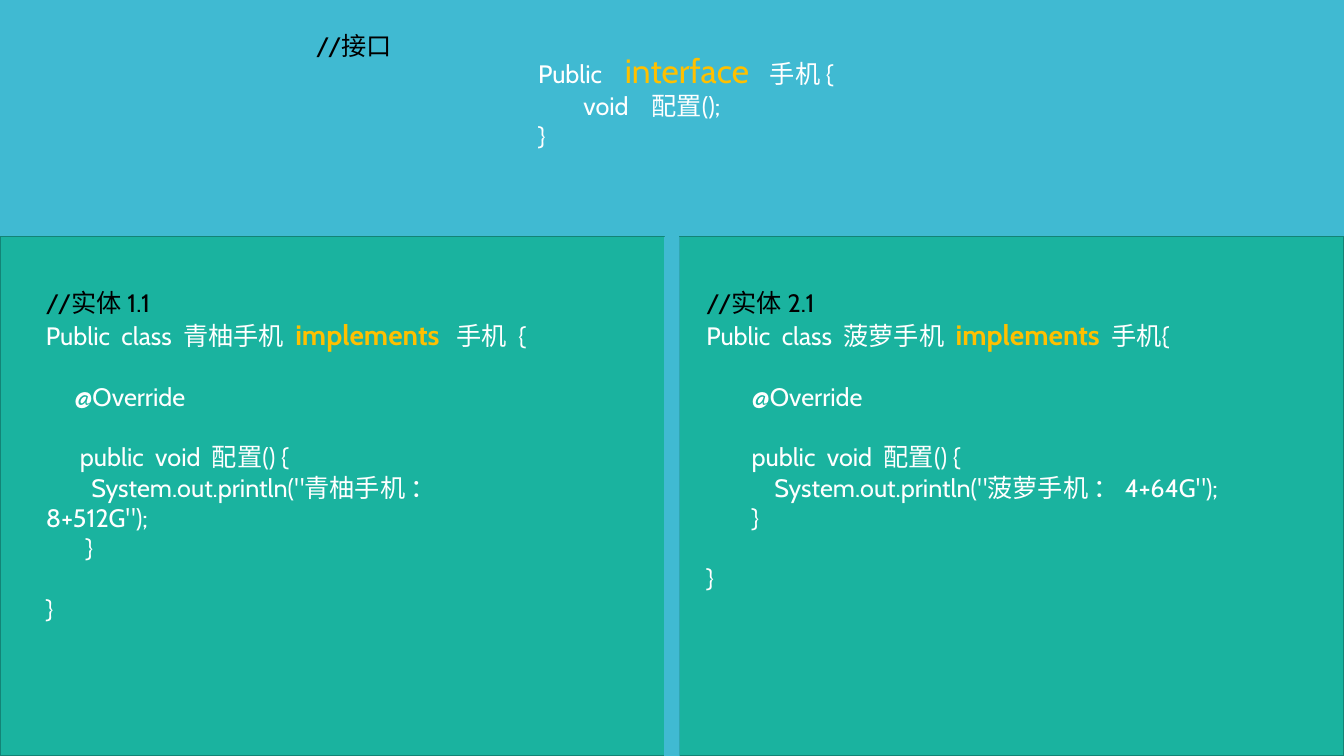
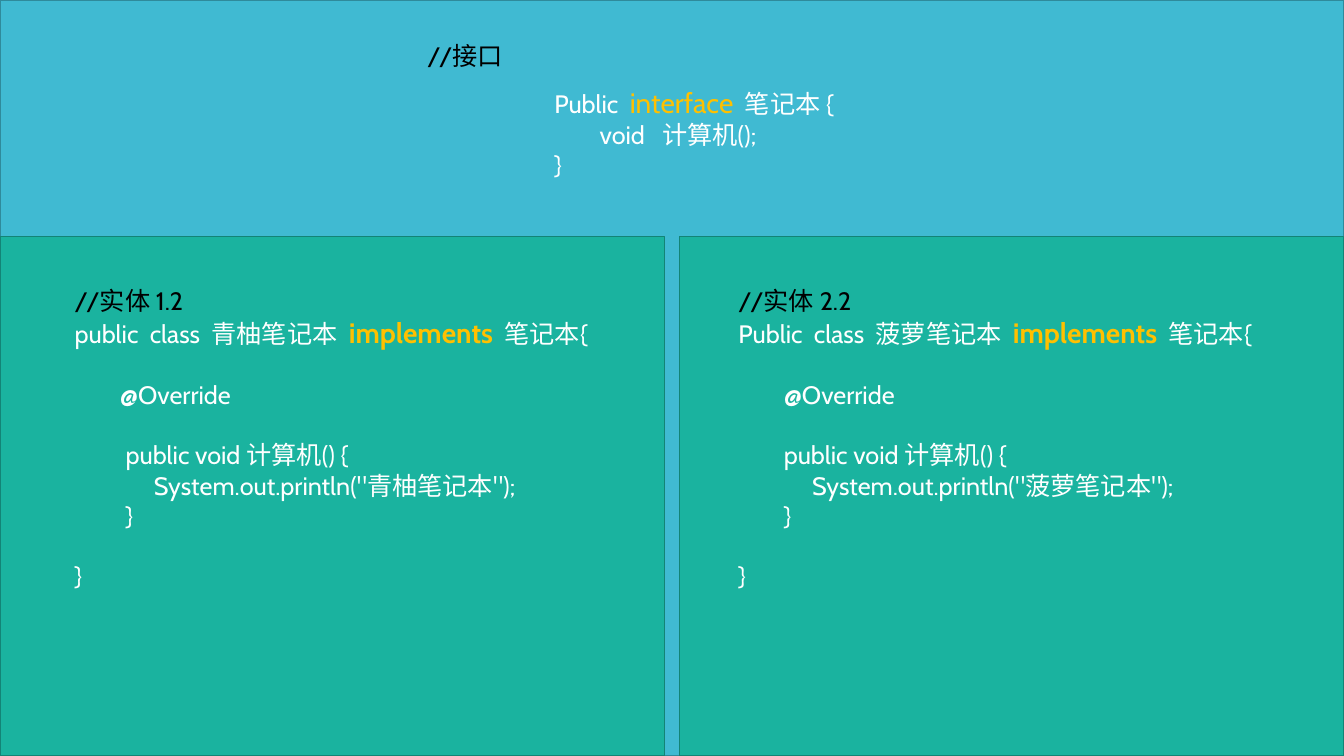
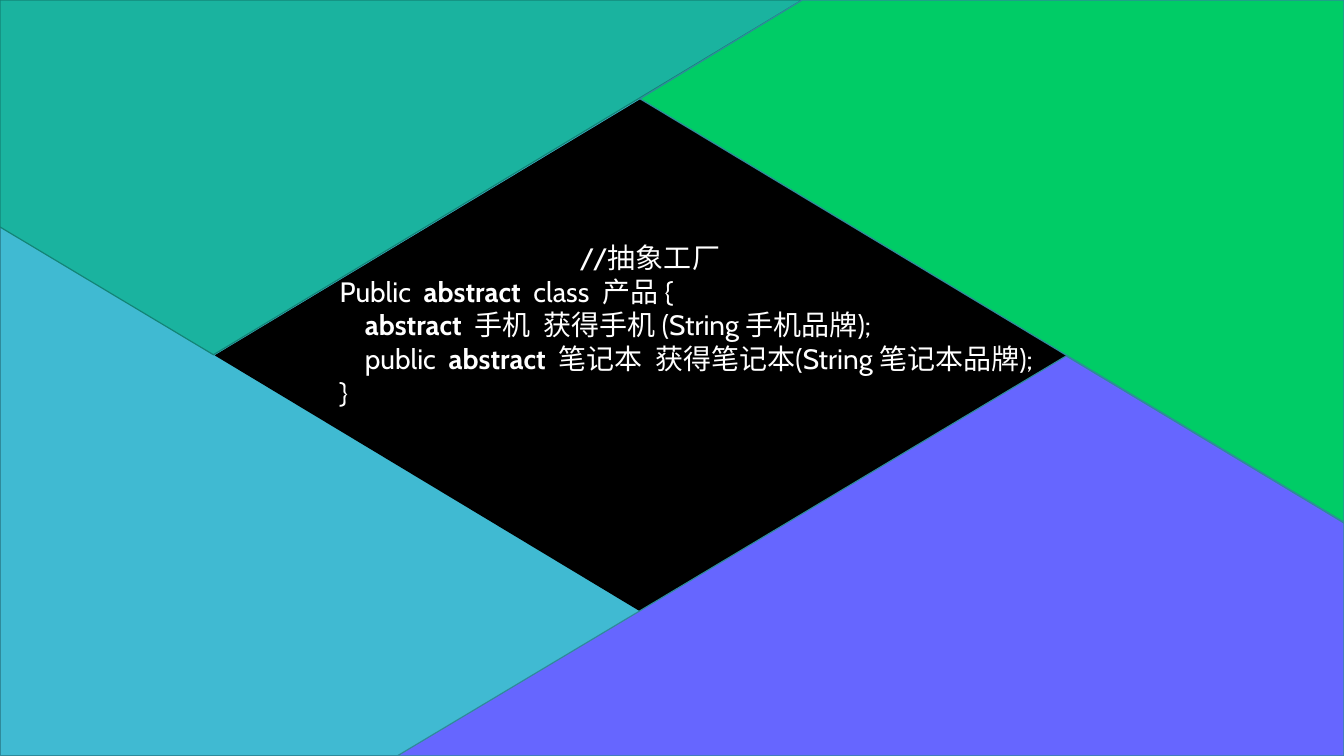
from pptx import Presentation
from pptx.dml.color import RGBColor
from pptx.enum.shapes import MSO_SHAPE as Shape
from pptx.enum.text import MSO_AUTO_SIZE as AutoSize
from pptx.util import Cm, Pt

COLORS = {
    "blue": "40BAD2", "blue_edge": "2F8A9B",
    "teal": "1AB39F", "teal_edge": "138476",
    "violet": "6666FF", "green": "00CC66",
    "gold": "FFC000", "white": "FFFFFF", "black": "000000",
}
FONT = "Cabin"
STYLES = {
    "code": (18, "white", False),
    "note": (18, "black", False),
    "keyword": (20, "gold", False),
    "big keyword": (24, "gold", False),
    "bold keyword": (20, "gold", True),
    "large code": (20, "white", False),
    "large bold": (20, "white", True),
}
BLANK_LINE = Pt(21.6)

SLIDE_W, SLIDE_H = 33.87, 19.05
BAND_H = 5.97
PANEL_W, PANEL_H = 16.74, SLIDE_H - BAND_H
RIGHT_X = SLIDE_W - PANEL_W

NOTE = [[("//接口", "note")]]

PHONE_TEXTS = [
    ((13.31, 1.14, 9.12, 2.82), [
        [("Public    ", "code"), ("interface  ", "big keyword"), (" 手机 {", "code")],
        "        void    配置();",
        "}",
    ]),
    ((0.91, 7.11, 12.78, 8.03), [
        [("//实体 1.1", "note")],
        [("Public  class  青柚手机  ", "code"), ("implements", "bold keyword"),
         ("   手机  {", "code")],
        "",
        "     @Override",
        "",
        "      public  void  配置() {",
        "        System.out.println(\"青柚手机 ： 8+512G\");",
        "       }",
        "",
        "}",
    ]),
    ((17.55, 7.11, 16.26, 8.03), [
        [("//实体 2.1", "note")],
        [("Public  class  菠萝手机  ", "code"), ("implements", "bold keyword"),
         ("  手机{", "code")],
        "",
        "        @Override",
        "",
        "        public  void  配置() {",
        "            System.out.println(\"菠萝手机 ： 4+64G\");",
        "        }",
        "",
        "}",
    ]),
    ((7.72, 0.64, 3.89, 1.02), NOTE),
]

NOTEBOOK_TEXTS = [
    ((10.52, 0.89, 3.43, 1.02), NOTE),
    ((13.72, 2.03, 10.41, 2.64), [
        [("Public  ", "code"), ("interface", "keyword"), ("  笔记本 {", "code")],
        "        void   计算机();",
        "}",
    ]),
    ((1.63, 7.06, 13.49, 8.03), [
        [("//实体 1.2", "note")],
        [("public  class  青柚笔记本  ", "code"), ("implements", "bold keyword"),
         ("  笔记本{", "code")],
        "",
        "        @Override",
        "",
        "         public void 计算机() {",
        "              System.out.println(\"青柚笔记本\");",
        "         }",
        "",
        "}",
    ]),
    ((18.36, 7.06, 13.59, 8.03), [
        [("//实体 2.2", "note")],
        [("Public  class  菠萝笔记本  ", "code"), ("implements", "bold keyword"),
         ("  笔记本{", "code")],
        "",
        "        @Override",
        "",
        "        public void 计算机() {",
        "             System.out.println(\"菠萝笔记本\");",
        "        }",
        "",
        "}",
    ]),
]

FACTORY_BOX = (8.31, 5.94, 18.57, 4.52)
FACTORY_TITLE_INDENT = 6.05
FACTORY_LINES = [
    [("//抽象工厂", "large code")],
    [("Public  ", "large code"), ("abstract", "large bold"),
     ("  class  产品 {", "large code")],
    [("    ", "large code"), ("abstract  ", "large bold"),
     ("手机  获得手机 (String 手机品牌);", "large code")],
    [("    public  ", "large code"), ("abstract  ", "large bold"),
     ("笔记本  获得笔记本(String 笔记本品牌);", "large code")],
    [("}", "large code")],
]
DIAMOND = (5.41, 2.49, 21.49, 12.93)
CORNERS = [
    ("teal", "teal_edge", [(5.38, 8.94), (20.22, 0), (0, 0), (0, 5.72)]),
    ("violet", "blue_edge",
     [(26.87, 8.97), (10.01, SLIDE_H), (SLIDE_W, SLIDE_H), (SLIDE_W, 13.18)]),
    ("green", "blue_edge",
     [(16.13, 2.49), (SLIDE_W, 13.16), (SLIDE_W, 0), (20.22, 0)]),
]


def rgb(name):
    return RGBColor.from_string(COLORS[name])


def paint(shape, fill, edge=None):
    shape.shadow.inherit = False
    shape.fill.solid()
    shape.fill.fore_color.rgb = rgb(fill)
    if edge:
        shape.line.color.rgb = rgb(edge)
        shape.line.width = Pt(0.85)
    else:
        shape.line.fill.background()


def add_block(slide, box, fill, edge=None, kind=Shape.RECTANGLE):
    paint(slide.shapes.add_shape(kind, *map(Cm, box)), fill, edge)


def add_corner(slide, fill, edge, points):
    start, *others = [(Cm(x), Cm(y)) for x, y in points]
    builder = slide.shapes.build_freeform(*start)
    builder.add_line_segments(others, close=True)
    paint(builder.convert_to_shape(), fill, edge)


def add_panels(slide):
    for left in (0, RIGHT_X):
        add_block(slide, (left, BAND_H, PANEL_W, PANEL_H), "teal", "teal_edge")


def add_code(slide, box, lines):
    frame = slide.shapes.add_textbox(*map(Cm, box)).text_frame
    frame.word_wrap = True
    frame.auto_size = AutoSize.SHAPE_TO_FIT_TEXT
    paragraph = None
    after_blank = False
    for line in lines:
        if not line:
            after_blank = True
            continue
        paragraph = frame.add_paragraph() if paragraph else frame.paragraphs[0]
        if after_blank:
            paragraph.space_before = BLANK_LINE
            after_blank = False
        for text, style in [(line, "code")] if isinstance(line, str) else line:
            size, color, bold = STYLES[style]
            run = paragraph.add_run()
            run.text = text
            run.font.name = FONT
            run.font.size = Pt(size)
            run.font.bold = bold
            run.font.color.rgb = rgb(color)
    return frame


def build_phone_slide(slide):
    add_block(slide, (0, 0, SLIDE_W, BAND_H), "blue")
    add_panels(slide)
    for box, lines in PHONE_TEXTS:
        add_code(slide, box, lines)
    add_block(slide, (PANEL_W, BAND_H, RIGHT_X - PANEL_W, PANEL_H), "blue")


def build_notebook_slide(slide):
    add_block(slide, (0, 0, SLIDE_W, SLIDE_H), "blue", "blue_edge")
    add_panels(slide)
    for box, lines in NOTEBOOK_TEXTS:
        add_code(slide, box, lines)


def build_factory_slide(slide):
    add_block(slide, (0, 0, SLIDE_W, SLIDE_H), "blue", "blue_edge")
    add_block(slide, DIAMOND, "black", kind=Shape.FLOWCHART_DECISION)
    for fill, edge, points in CORNERS:
        add_corner(slide, fill, edge, points)
    title = add_code(slide, FACTORY_BOX, FACTORY_LINES).paragraphs[0]
    title._p.get_or_add_pPr().set("marL", str(Cm(FACTORY_TITLE_INDENT)))


def main():
    presentation = Presentation()
    presentation.slide_width = Cm(SLIDE_W)
    presentation.slide_height = Cm(SLIDE_H)
    for build in (build_phone_slide, build_notebook_slide, build_factory_slide):
        build(presentation.slides.add_slide(presentation.slide_layouts[6]))
    presentation.save("out.pptx")


if __name__ == "__main__":
    main()
